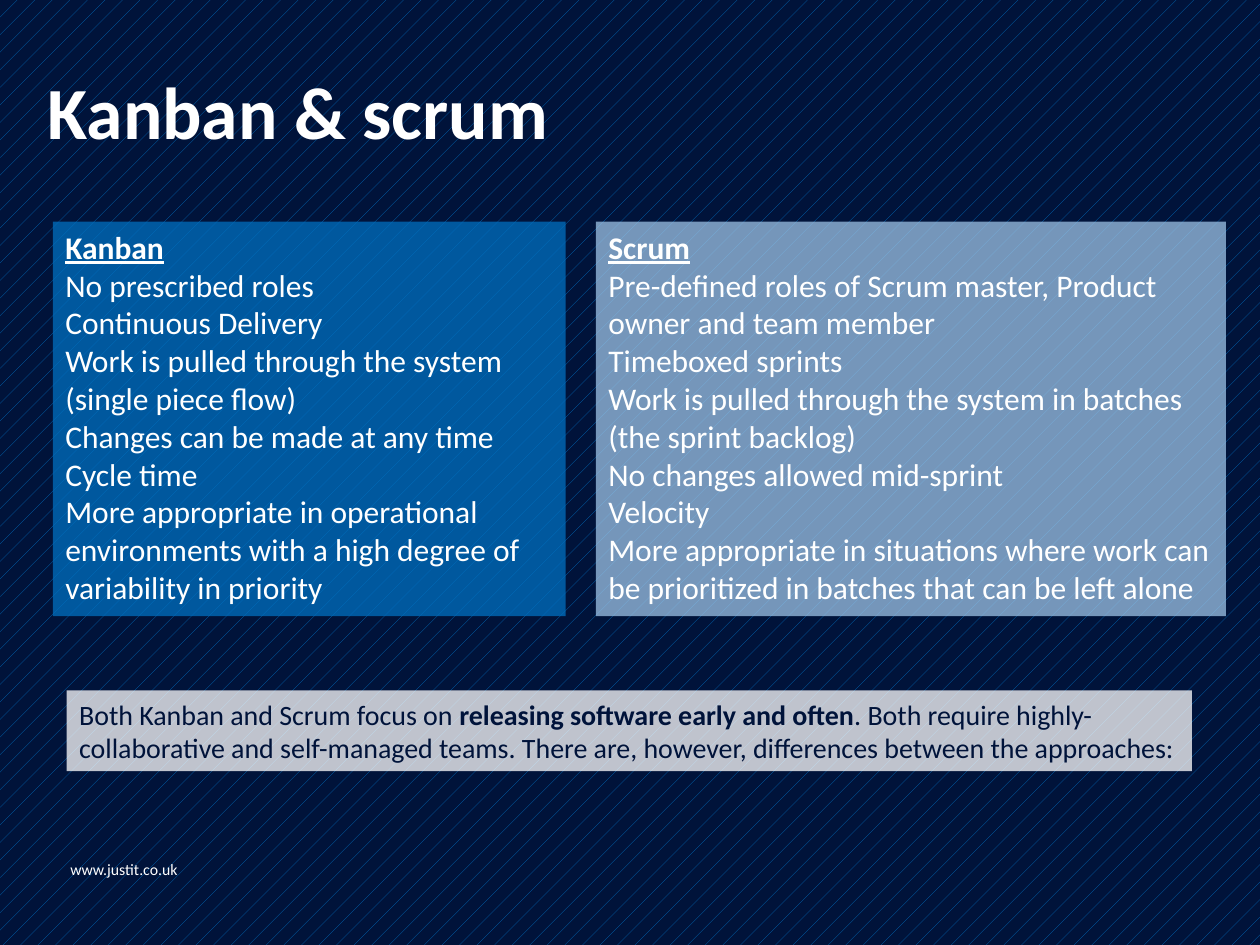
from pptx import Presentation
from pptx.dml.color import RGBColor
from pptx.enum.dml import MSO_PATTERN
from pptx.enum.shapes import MSO_SHAPE
from pptx.enum.text import MSO_ANCHOR, MSO_AUTO_SIZE, PP_ALIGN
from pptx.oxml.ns import qn
from pptx.util import Inches, Pt
from lxml import etree

NAVY = RGBColor(0x00, 0x13, 0x3A)
BLUE = RGBColor(0x00, 0x70, 0xC0)
PALE_BLUE = RGBColor(0x9D, 0xC3, 0xE6)
WHITE = RGBColor(0xFF, 0xFF, 0xFF)
RECTANGLE = MSO_SHAPE.RECTANGLE
TOP, MIDDLE = MSO_ANCHOR.TOP, MSO_ANCHOR.MIDDLE
LEFT, JUSTIFY = PP_ALIGN.LEFT, PP_ALIGN.JUSTIFY
GROW = MSO_AUTO_SIZE.SHAPE_TO_FIT_TEXT


def add_text(para, text, size=18, color=WHITE, bold=False, underline=False):
    span = para.add_run()
    span.text = text
    span.font.name = "Calibri"
    span.font.size = Pt(size)
    span.font.color.rgb = color
    span.font.bold = bold
    span.font.underline = underline


def add_panel(page, left, top, width, height, color, anchor=TOP):
    """Add a rectangle with a 75 % opaque fill and return its text frame."""
    panel = page.shapes.add_shape(
        RECTANGLE, Inches(left), Inches(top), Inches(width), Inches(height))
    panel.shadow.inherit = False
    panel.line.fill.background()
    panel.fill.solid()
    panel.fill.fore_color.rgb = color
    color_element = panel.fill._xPr.find(".//" + qn("a:srgbClr"))
    etree.SubElement(color_element, qn("a:alpha")).set("val", "75000")
    frame = panel.text_frame
    frame.word_wrap = True
    frame.auto_size = GROW
    frame.vertical_anchor = anchor
    frame.paragraphs[0].alignment = LEFT
    return frame


deck = Presentation()
deck.slide_width = Inches(10)
deck.slide_height = Inches(7.5)
page = deck.slides.add_slide(deck.slide_layouts[6])

# Patterned background
background = page.background.fill
background.patterned()
background.pattern = MSO_PATTERN.PERCENT_5
background.fore_color.rgb = BLUE
background.back_color.rgb = NAVY

# Title
title = page.shapes.add_textbox(Inches(0.28), Inches(0.4), Inches(4.21), Inches(1.03))
title.text_frame.word_wrap = True
title.text_frame.vertical_anchor = MIDDLE
para = title.text_frame.paragraphs[0]
para.line_spacing = 0.9
add_text(para, "Kanban & scrum", size=42, bold=True)

# Web address
footer = page.shapes.add_textbox(Inches(0.46), Inches(6.6), Inches(1.16), Inches(0.6))
footer.text_frame.word_wrap = True
footer.text_frame.vertical_anchor = MIDDLE
para = footer.text_frame.paragraphs[0]
para.alignment = JUSTIFY
para.space_after = Pt(6)
add_text(para, "www.justit.co.uk", size=9)

# Comparison panels
comparison = [
    (0.42, 4.07, BLUE, "Kanban", [
        "No prescribed roles",
        "Continuous Delivery",
        "Work is pulled through the system (single piece flow)",
        "Changes can be made at any time",
        "Cycle time",
        "More appropriate in operational environments with a high degree of "
        "variability in priority",
    ]),
    (4.73, 5, PALE_BLUE, "Scrum", [
        "Pre-defined roles of Scrum master, Product owner and team member",
        "Timeboxed sprints",
        "Work is pulled through the system in batches (the sprint backlog)",
        "No changes allowed mid-sprint",
        "Velocity",
        "More appropriate in situations where work can be prioritized in "
        "batches that can be left alone",
    ]),
]
for left, width, color, heading, points in comparison:
    frame = add_panel(page, left, 1.76, width, 3.13, color)
    add_text(frame.paragraphs[0], heading, bold=True, underline=True)
    for point in points:
        para = frame.add_paragraph()
        para.alignment = LEFT
        add_text(para, point)

# Shared summary
frame = add_panel(page, 0.53, 5.48, 8.93, 0.64, WHITE, anchor=MIDDLE)
summary = [
    ("Both Kanban and Scrum focus on ", False),
    ("releasing software early and often", True),
    (". Both require highly-collaborative and self-managed teams. "
     "There are, however, differences between the approaches:", False),
]
for text, bold in summary:
    add_text(frame.paragraphs[0], text, size=16, color=NAVY, bold=bold)

deck.save("out.pptx")
